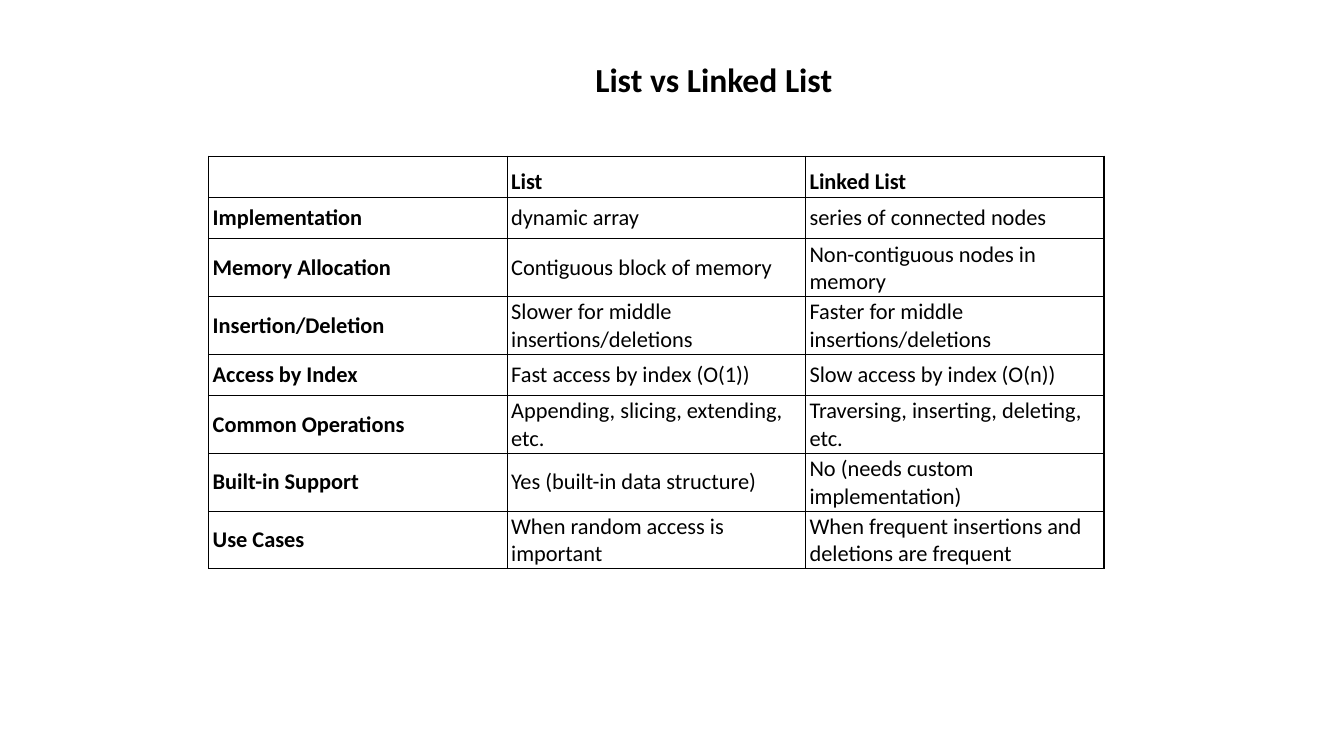
from typing import NamedTuple

from lxml.etree import SubElement
from pptx import Presentation
from pptx.dml.color import RGBColor
from pptx.enum.text import MSO_ANCHOR as Anchor, MSO_AUTO_SIZE as AutoSize, PP_ALIGN as Align
from pptx.oxml.ns import qn
from pptx.util import Inches, Pt

COLORS = {"text": "000000", "border": "000000"}
FONT = "Calibri"
TITLE_SIZE, CELL_SIZE = 24, 16
BORDER_WIDTH = 1
TABLE_LEFT, TABLE_TOP = 2.07, 1.55
COLUMN_WIDTH, ROW_HEIGHT = 2.96, 0.41
SIDE_MARGIN, EDGE_MARGIN = 0.04, 0.02


class Comparison(NamedTuple):
    aspect: str
    array_list: str
    linked_list: str


COMPARISONS = [
    Comparison("", "List", "Linked List"),
    Comparison("Implementation", "dynamic array", "series of connected nodes"),
    Comparison("Memory Allocation", "Contiguous block of memory", "Non-contiguous nodes in memory"),
    Comparison("Insertion/Deletion", "Slower for middle insertions/deletions",
               "Faster for middle insertions/deletions"),
    Comparison("Access by Index", "Fast access by index (O(1))", "Slow access by index (O(n))"),
    Comparison("Common Operations", "Appending, slicing, extending, etc.",
               "Traversing, inserting, deleting, etc."),
    Comparison("Built-in Support", "Yes (built-in data structure)",
               "No (needs custom implementation)"),
    Comparison("Use Cases", "When random access is important",
               "When frequent insertions and deletions are frequent"),
]


def add_run(paragraph, text: str, size: int, bold: bool) -> None:
    run = paragraph.add_run()
    run.text = text
    run.font.name = FONT
    run.font.size = Pt(size)
    run.font.bold = bold
    run.font.color.rgb = RGBColor.from_string(COLORS["text"])


def add_title(slide, text: str) -> None:
    title = slide.shapes.title
    title.left, title.top = Inches(5.79), Inches(0.53)
    title.width, title.height = Inches(2.58), Inches(0.5)
    frame = title.text_frame
    frame.word_wrap = False
    frame.auto_size = AutoSize.SHAPE_TO_FIT_TEXT
    paragraph = frame.paragraphs[0]
    paragraph.alignment = Align.CENTER
    add_run(paragraph, text, TITLE_SIZE, bold=True)


def add_borders(cell) -> None:
    properties = cell._tc.get_or_add_tcPr()
    for side in ("a:lnL", "a:lnR", "a:lnT", "a:lnB"):
        line = SubElement(properties, qn(side), w=str(Pt(BORDER_WIDTH)))
        fill = SubElement(line, qn("a:solidFill"))
        SubElement(fill, qn("a:srgbClr"), val=COLORS["border"])


def format_cell(cell, text: str, bold: bool, anchor: Anchor) -> None:
    cell.margin_left = cell.margin_right = Inches(SIDE_MARGIN)
    cell.margin_top = cell.margin_bottom = Inches(EDGE_MARGIN)
    cell.vertical_anchor = anchor
    add_borders(cell)
    cell.fill.background()
    if text:
        add_run(cell.text_frame.paragraphs[0], text, CELL_SIZE, bold)


def add_comparison_table(slide, comparisons: list[Comparison]) -> None:
    row_count, column_count = len(comparisons), len(Comparison._fields)
    table = slide.shapes.add_table(
        row_count, column_count, Inches(TABLE_LEFT), Inches(TABLE_TOP),
        Inches(column_count * COLUMN_WIDTH), Inches(row_count * ROW_HEIGHT)).table
    table.horz_banding = False
    table.first_row = False
    for row_index, comparison in enumerate(comparisons):
        is_header = row_index == 0
        anchor = Anchor.BOTTOM if is_header else Anchor.MIDDLE
        for column_index, text in enumerate(comparison):
            bold = is_header or column_index == 0
            format_cell(table.cell(row_index, column_index), text, bold, anchor)


def main() -> None:
    presentation = Presentation()
    presentation.slide_width, presentation.slide_height = Inches(13.33), Inches(7.5)
    slide = presentation.slides.add_slide(presentation.slide_layouts.get_by_name("Title Only"))
    add_title(slide, "List vs Linked List")
    add_comparison_table(slide, COMPARISONS)
    presentation.save("out.pptx")


if __name__ == "__main__":
    main()
